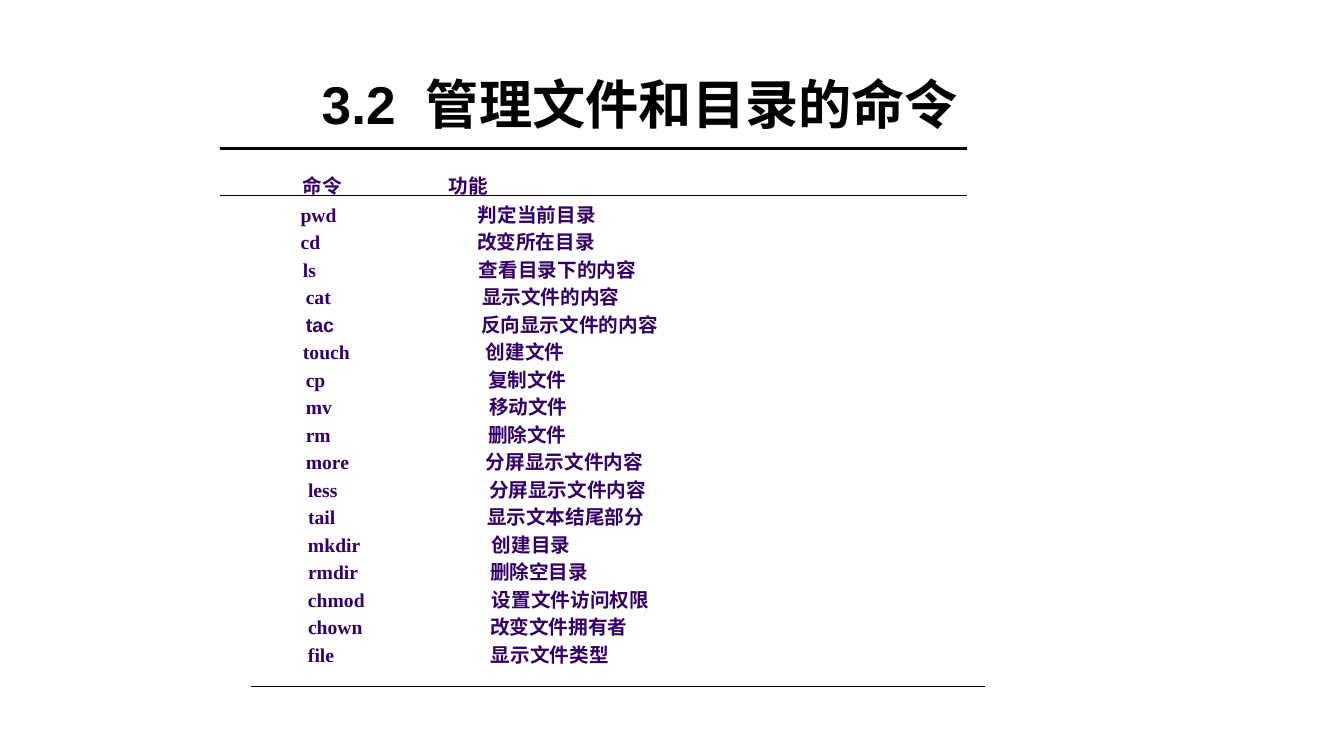
from dataclasses import dataclass

from lxml import etree
from pptx import Presentation
from pptx import util as u
from pptx.dml.color import RGBColor
from pptx.enum import shapes, text
from pptx.oxml.ns import qn


@dataclass(frozen=True)
class Theme:
    ink: RGBColor = RGBColor(0, 0, 0)
    body: RGBColor = RGBColor(0x33, 0, 0x66)
    sans: str = "Arial"
    serif: str = "Times New Roman"
    cjk: str = "Noto Sans CJK SC"
    title_size: float = 38
    body_size: float = 14
    pitch: float = 19.63


@dataclass(frozen=True)
class Row:
    command: str
    purpose: str
    command_x: float
    purpose_x: float
    font: str
    after: float = 0


@dataclass(frozen=True)
class Rule:
    x1: float
    x2: float
    y: float
    width: float


T = Theme()

ROWS = [
    Row("命令", "功能", 59.4, 163.7, T.sans, 0.6),
    Row("pwd", "判定当前目录", 57.7, 184.4, T.serif),
    Row("cd", "改变所在目录", 57.7, 183.7, T.serif),
    Row("ls", "查看目录下的内容", 59.4, 185.1, T.serif),
    Row("cat", "显示文件的内容", 61.4, 187.3, T.serif),
    Row("tac", "反向显示文件的内容", 61.4, 186.6, T.sans),
    Row("touch", "创建文件", 59.4, 190.1, T.serif),
    Row("cp", "复制文件", 61.4, 191.6, T.serif),
    Row("mv", "移动文件", 61.4, 192.3, T.serif),
    Row("rm", "删除文件", 61.4, 191.6, T.serif),
    Row("more", "分屏显示文件内容", 61.4, 190.1, T.serif),
    Row("less", "分屏显示文件内容", 63, 192.3, T.serif),
    Row("tail", "显示文本结尾部分", 63, 190.9, T.serif),
    Row("mkdir", "创建目录", 63, 194.4, T.serif),
    Row("rmdir", "删除空目录", 63, 193, T.serif),
    Row("chmod", "设置文件访问权限", 63, 194.4, T.serif),
    Row("chown", "改变文件拥有者", 63, 193, T.serif),
    Row("file", "显示文件类型", 63, 193.7, T.serif),
]

RULES = [
    Rule(157, 691, 105.8, 2.25),
    Rule(157, 691, 139.7, 0.75),
    Rule(179.3, 703.4, 490.3, 0.75),
]


def place(sp, x: float, y: float, w: float, h: float) -> None:
    sp.left, sp.top, sp.width, sp.height = u.Pt(x), u.Pt(y), u.Pt(w), u.Pt(h)


def add_run(p, words: str, font: str, size: float, color: RGBColor):
    r = p.add_run()
    r.text = words
    r.font.name = font
    r.font.size = u.Pt(size)
    r.font.bold = True
    r.font.color.rgb = color
    etree.SubElement(r.font._element, qn("a:ea")).set("typeface", T.cjk)
    return r


def fill_title(sp) -> None:
    place(sp, 144.7, 32.4, 625, 67.7)
    tf = sp.text_frame
    tf.word_wrap = True
    tf.auto_size = text.MSO_AUTO_SIZE.NONE
    tf.vertical_anchor = text.MSO_ANCHOR.BOTTOM
    p = tf.paragraphs[0]
    p.alignment = text.PP_ALIGN.CENTER
    add_run(p, "3.2", T.sans, T.title_size, T.ink)
    gap = add_run(p, " ", T.sans, T.title_size, T.ink)
    gap.font._element.set("spc", "1100")
    add_run(p, "管理文件和目录的命令", T.cjk, T.title_size, T.ink)


def add_row(p, row: Row) -> None:
    p.line_spacing = u.Pt(T.pitch)
    p.space_before = u.Pt(0)
    p.space_after = u.Pt(row.after)
    pPr = p._p.get_or_add_pPr()
    pPr.set("marL", str(int(u.Pt(row.purpose_x))))
    pPr.set("indent", str(int(u.Pt(row.command_x - row.purpose_x))))
    etree.SubElement(pPr, qn("a:buNone"))
    add_run(p, row.command, row.font, T.body_size, T.body)
    add_run(p, "\t" + row.purpose, T.sans, T.body_size, T.body)


def fill_body(sp) -> None:
    place(sp, 157, 121.7, 714, 360)
    tf = sp.text_frame
    tf.word_wrap = True
    tf.auto_size = text.MSO_AUTO_SIZE.NONE
    tf.vertical_anchor = text.MSO_ANCHOR.TOP
    tf.margin_left = tf.margin_right = tf.margin_top = tf.margin_bottom = u.Pt(0)
    for i, row in enumerate(ROWS):
        add_row(tf.add_paragraph() if i else tf.paragraphs[0], row)


def add_rule(s, rule: Rule) -> None:
    line = s.shapes.add_connector(
        shapes.MSO_CONNECTOR.STRAIGHT,
        u.Pt(rule.x1), u.Pt(rule.y), u.Pt(rule.x2), u.Pt(rule.y),
    )
    line.line.color.rgb = T.ink
    line.line.width = u.Pt(rule.width)
    etree.SubElement(line._element.spPr, qn("a:effectLst"))


def main() -> None:
    prs = Presentation()
    prs.slide_width, prs.slide_height = u.Pt(960), u.Pt(540)
    s = prs.slides.add_slide(prs.slide_layouts[1])
    fill_title(s.shapes.title)
    fill_body(s.placeholders[1])
    for rule in RULES:
        add_rule(s, rule)
    prs.save("out.pptx")


if __name__ == "__main__":
    main()
